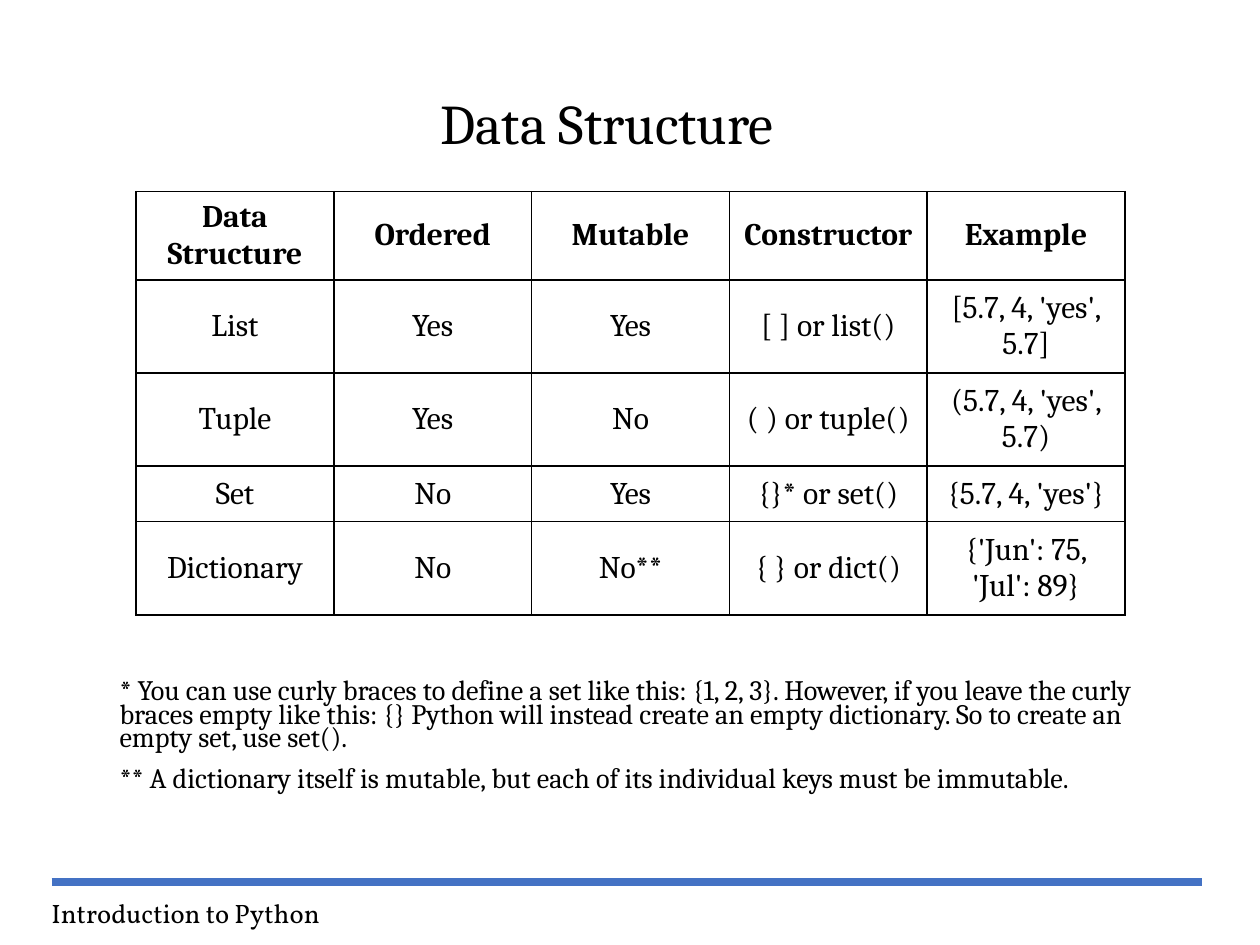
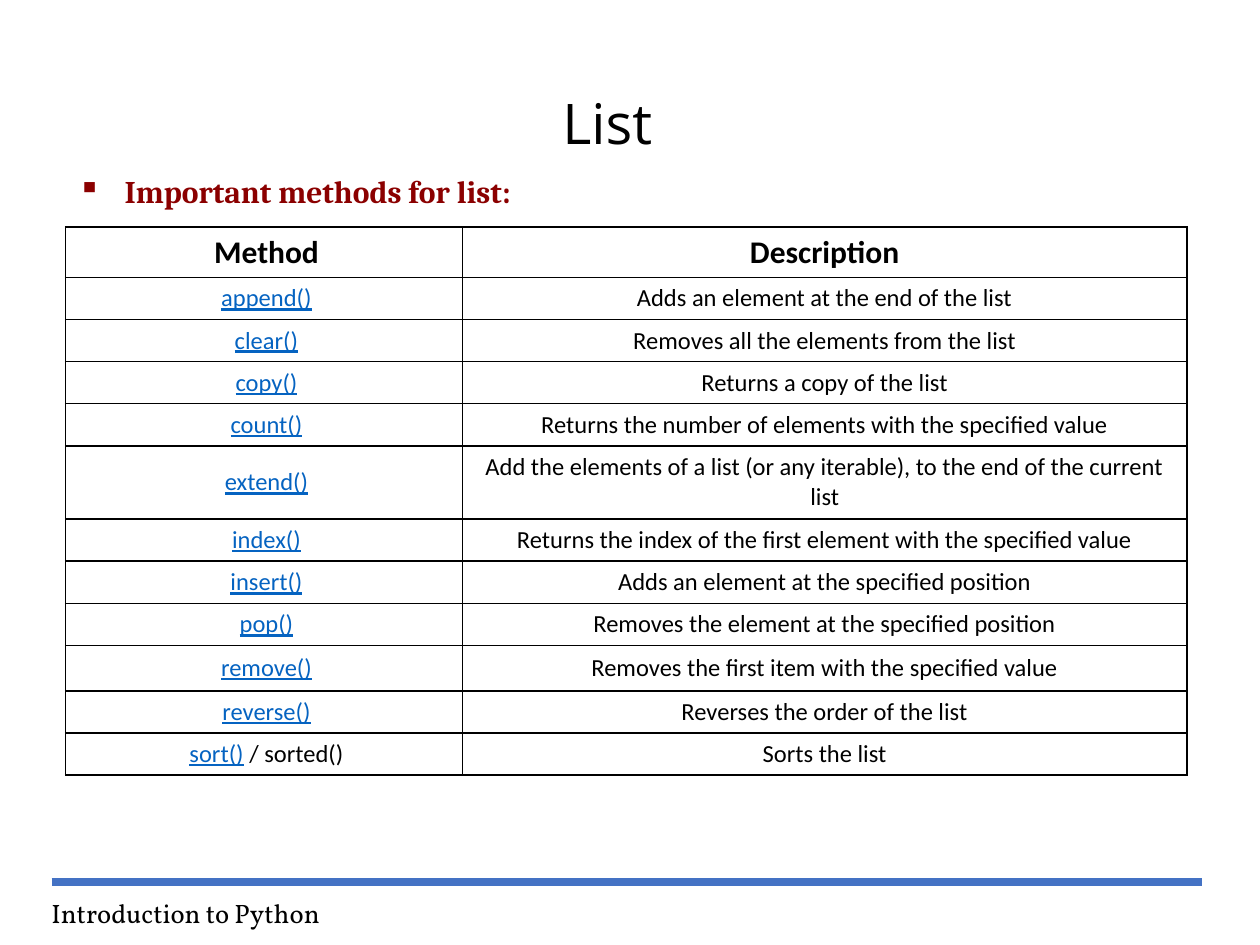
from lxml import etree
from pptx import Presentation
from pptx import util as u
from pptx.dml.color import RGBColor
from pptx.enum import shapes, text
from pptx.oxml.ns import qn

BLACK, BLUE, LINK, RED = "000000", "4472C4", "0563C1", "8B0000"
SERIF, SANS = "Cambria", "Calibri"
CENTRE = text.PP_ALIGN.CENTER
TITLE_CENTRE, TITLE_TOP, TITLE_HEIGHT = 4.82, 0.65, 0.64
FOOTER = "Introduction to Python"

STRUCTURES = [
    ("Data Structure", "Ordered", "Mutable", "Constructor", "Example"),
    ("List", "Yes", "Yes", "[ ] or list()", "[5.7, 4, 'yes', 5.7]"),
    ("Tuple", "Yes", "No", "( ) or tuple()", "(5.7, 4, 'yes', 5.7)"),
    ("Set", "No", "Yes", "{}* or set()", "{5.7, 4, 'yes'}"),
    ("Dictionary", "No", "No**", "{ } or dict()", "{'Jun': 75, 'Jul': 89}"),
]
NOTES = [
    "* You can use curly braces to define a set like this: {1, 2, 3}. However, "
    "if you leave the curly braces empty like this: {} Python will instead "
    "create an empty dictionary. So to create an empty set, use set().",
    "** A dictionary itself is mutable, but each of its individual keys must "
    "be immutable.",
]
METHODS_HEADING = "Important methods for list:"
METHODS_HEADER = ("Method", "Description")
# method, plain text after it, description
METHODS = [
    ("append()", "", "Adds an element at the end of the list"),
    ("clear()", "", "Removes all the elements from the list"),
    ("copy()", "", "Returns a copy of the list"),
    ("count()", "", "Returns the number of elements with the specified value"),
    ("extend()", "", "Add the elements of a list (or any iterable), to the end of the current list"),
    ("index()", "", "Returns the index of the first element with the specified value"),
    ("insert()", "", "Adds an element at the specified position"),
    ("pop()", "", "Removes the element at the specified position"),
    ("remove()", "", "Removes the first item with the specified value"),
    ("reverse()", "", "Reverses the order of the list"),
    ("sort()", " / sorted()", "Sorts the list"),
]


def rgb(color):
    return RGBColor.from_string(color)


def add_run(p, words, size, font, color=BLACK, bold=False, underline=False):
    r = p.add_run()
    r.text = words
    f = r.font
    f.size, f.name, f.bold, f.underline = u.Pt(size), font, bold, underline
    f.color.rgb = rgb(color)


def add_text_box(s, left, top, width, height):
    tf = s.shapes.add_textbox(*map(u.Inches, (left, top, width, height))).text_frame
    tf.word_wrap = True
    return tf


def add_slide(prs, title, title_width, title_font):
    """Add a slide with its title, footer rule and footer text."""
    s = prs.slides.add_slide(prs.slide_layouts[5])
    sp = s.shapes.title
    sp.left, sp.top = u.Inches(TITLE_CENTRE - title_width / 2), u.Inches(TITLE_TOP)
    sp.width, sp.height = u.Inches(title_width), u.Inches(TITLE_HEIGHT)
    tf = sp.text_frame
    tf.word_wrap = False
    tf.auto_size = text.MSO_AUTO_SIZE.NONE
    tf.vertical_anchor = text.MSO_ANCHOR.TOP
    tf.paragraphs[0].alignment = CENTRE
    add_run(tf.paragraphs[0], title, 32, title_font)

    rule = s.shapes.add_connector(shapes.MSO_CONNECTOR.STRAIGHT,
                                  *map(u.Inches, (0.41, 7, 9.54, 7)))
    rule.line.color.rgb = rgb(BLUE)
    rule.line.width = u.Pt(4.5)
    etree.SubElement(rule._element.spPr, qn("a:effectLst"))
    tf = add_text_box(s, 0.31, 7.07, 2.93, 0.36)
    add_run(tf.paragraphs[0], FOOTER, 15.2, "Vollkorn")
    return s


def add_borders(cell):
    tc_pr = cell._tc.get_or_add_tcPr()
    for i, side in enumerate(("lnL", "lnR", "lnT", "lnB")):
        ln = etree.Element(qn(f"a:{side}"), w=str(u.Pt(1)))
        fill = etree.SubElement(ln, qn("a:solidFill"))
        etree.SubElement(fill, qn("a:srgbClr"), val=BLACK)
        tc_pr.insert(i, ln)


def add_grid(s, left, top, cols, rows, cells, margins):
    """Add a bordered table; cells holds lists of (words, format) runs,
    margins(row, col) gives left, top, right and bottom insets."""
    frame = s.shapes.add_table(len(rows), len(cols), *map(
        u.Inches, (left, top, sum(cols), sum(rows))))
    table = frame.table
    table.horz_banding = False
    for col, width in zip(table.columns, cols):
        col.width = u.Inches(width)
    for i, height in enumerate(rows):
        table.rows[i].height = u.Inches(height)
        for j, runs in enumerate(cells[i]):
            cell = table.cell(i, j)
            cell.fill.background()
            add_borders(cell)
            cell.vertical_anchor = text.MSO_ANCHOR.MIDDLE
            (cell.margin_left, cell.margin_top, cell.margin_right,
             cell.margin_bottom) = map(u.Inches, margins(i, j))
            p = cell.text_frame.paragraphs[0]
            p.alignment = CENTRE
            for words, style in runs:
                add_run(p, words, **style)


def add_structures_slide(prs):
    s = add_slide(prs, "Data Structure", 2.85, SERIF)
    cells = [[[(words, dict(size=18, font=SERIF, bold=i == 0))] for words in row]
             for i, row in enumerate(STRUCTURES)]
    add_grid(s, 1.08, 1.52, [1.57] * 5, [0.7, 0.74, 0.73, 0.43, 0.73], cells,
             lambda i, j: (0.13, 0.07, 0.13, 0.07) if i else (0.1, 0.05, 0.1, 0.05))
    tf = add_text_box(s, 0.85, 5.36, 8.62, 1.1)
    for i, note in enumerate(NOTES):
        p = tf.add_paragraph() if i else tf.paragraphs[0]
        p.line_spacing = 0.7
        p.space_before = u.Pt(10 if i else 0)
        add_run(p, note, 16.1, SERIF)


def add_methods_slide(prs):
    s = add_slide(prs, "List", 0.92, "Open Sans")
    head = dict(size=18, font=SANS, bold=True)
    body = dict(size=14, font=SANS)
    link = dict(body, color=LINK, underline=True)
    cells = [[[(words, head)] for words in METHODS_HEADER]]
    for method, extra, description in METHODS:
        name = [(method, link)] + ([(extra, body)] if extra else [])
        cells.append([name, [(description, body)]])
    rows = [0.39] + [0.335] * len(METHODS)
    rows[5], rows[9] = 0.58, 0.36
    add_grid(s, 0.52, 1.8, [3.15, 5.75], rows, cells,
             lambda i, j: (0.05 if j else 0.09, 0.05, 0.05, 0.05))

    p = add_text_box(s, 0.52, 1.17, 8.9, 0.6).paragraphs[0]
    p.alignment = text.PP_ALIGN.JUSTIFY
    p.line_spacing = 1.5
    add_run(p, METHODS_HEADING, 18, SERIF, RED, bold=True)
    p_pr = p._p.get_or_add_pPr()
    indent = u.Inches(0.37)
    p_pr.set("marL", str(indent))
    p_pr.set("indent", str(-indent))
    etree.SubElement(p_pr, qn("a:buChar"), char="▪")


def main():
    prs = Presentation()
    prs.slide_width, prs.slide_height = u.Inches(10), u.Inches(7.5)
    add_structures_slide(prs)
    add_methods_slide(prs)
    prs.save("out.pptx")


if __name__ == "__main__":
    main()
